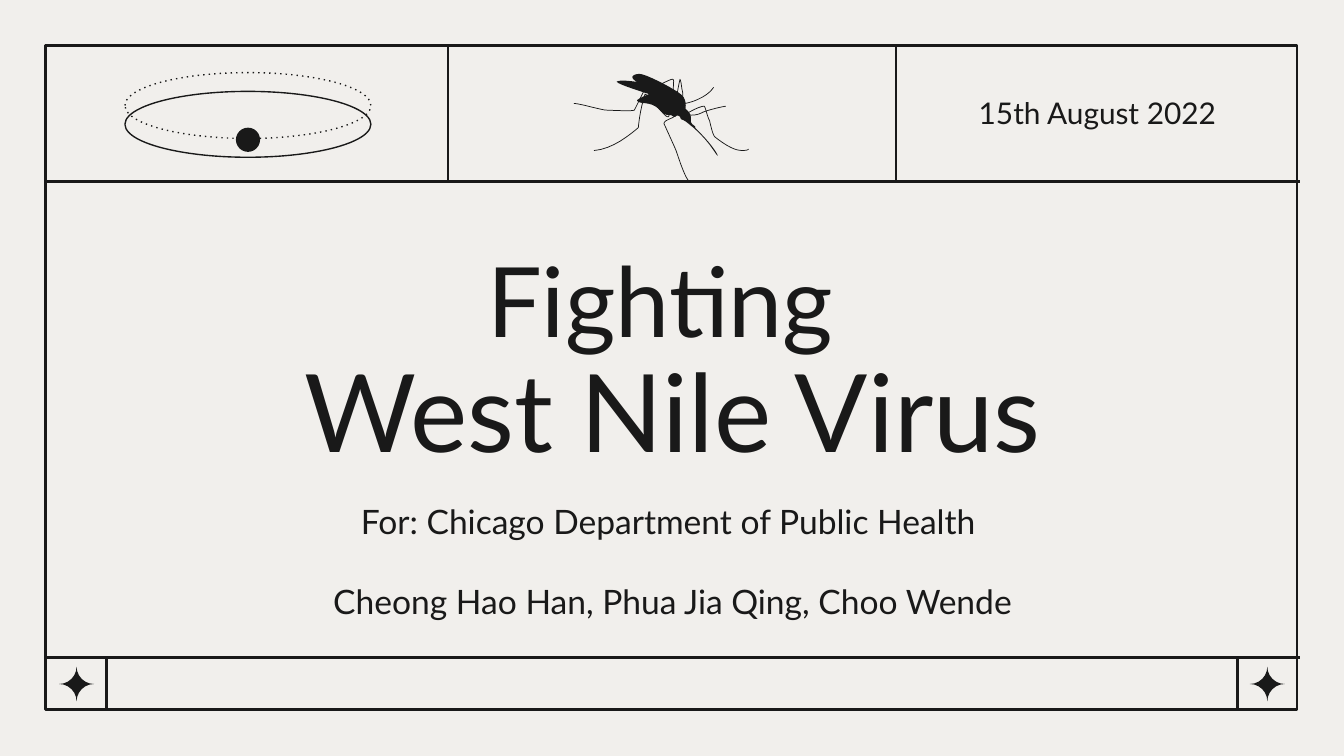
from dataclasses import dataclass
from pptx import Presentation
from pptx.dml.color import RGBColor
from pptx.enum.shapes import MSO_CONNECTOR, MSO_SHAPE
from pptx.enum.text import MSO_ANCHOR, MSO_AUTO_SIZE, PP_ALIGN
from pptx.oxml.ns import qn
from pptx.util import Inches, Pt
from lxml import etree


@dataclass(frozen=True)
class Theme:
    ink: RGBColor = RGBColor(0x19, 0x19, 0x19)
    paper: RGBColor = RGBColor(0xF1, 0xEF, 0xEC)
    font: str = "Lato"
    small: float = 52
    large: float = 58
    body: float = 18
    date: float = 16
    rule: float = 1.5
    thin: float = 0.75
    leg: float = 0.4


THEME = Theme()
WIDE = 10
HIGH = WIDE * 9 / 16

# Mosquito curves in hundredths of an inch: a start, then three points per curve
BODY = [
    (49, 0), (45, 0), (40, 2), (47, 6), (47, 6), (41, 5), (36, 5),
    (33, 5), (31, 6), (32, 6), (33, 8), (56, 15), (56, 15),
    (56, 15), (46, 19), (47, 20), (49, 23), (57, 20), (63, 26),
    (68, 32), (70, 30), (73, 31), (73, 31), (74, 32), (75, 32),
    (76, 32), (76, 31), (77, 31), (78, 31), (79, 32), (79, 32),
    (80, 35), (80, 33), (84, 36), (100, 48), (106, 61), (107, 61),
    (108, 61), (101, 50), (90, 40), (90, 40), (91, 40), (90, 39),
    (89, 38), (87, 37), (87, 35), (87, 33), (87, 32), (87, 32),
    (87, 31), (86, 28), (83, 26), (83, 26), (85, 18), (78, 14),
    (71, 9), (53, 0), (49, 0),
]
LEGS = [
    [(15, 57), (29, 56), (42, 45), (48, 40), (48, 40), (49, 27), (53, 15),
     (57, 16), (67, 32), (70, 32), (71, 32), (71, 30), (71, 29)],
    [(75, 31), (75, 33), (67, 34), (67, 37), (67, 37), (73, 50), (76, 57),
     (81, 72), (84, 79), (86, 80)],
    [(85, 29), (90, 26), (95, 24), (97, 24), (98, 25), (99, 31), (101, 35),
     (103, 44), (104, 46), (105, 47), (114, 54), (120, 57), (125, 57),
     (127, 57), (129, 57), (130, 56)],
    [(84, 30), (86, 31), (91, 31), (95, 29), (96, 28), (107, 25), (113, 24)],
    [(77, 14), (78, 8), (79, 4), (79, 4), (80, 6), (80, 10), (81, 14),
     (81, 19), (81, 21), (82, 22), (85, 22), (99, 18), (104, 10)],
    [(60, 10), (66, 7), (72, 4), (73, 4), (75, 4), (74, 5), (74, 13)],
    [(59, 14), (59, 14), (53, 11), (53, 11), (50, 17), (45, 27), (45, 27),
     (44, 28), (26, 27), (24, 27), (21, 27), (4, 22), (0, 22)],
]


def paint(shape, fill=False, width=None):
    shape.shadow.inherit = False
    if fill:
        shape.fill.solid()
        shape.fill.fore_color.rgb = THEME.ink
    else:
        shape.fill.background()
    if width:
        shape.line.color.rgb = THEME.ink
        shape.line.width = Pt(width)
    else:
        shape.line.fill.background()


def add_form(slide, kind, box, fill=False, width=None):
    form = slide.shapes.add_shape(kind, *map(Inches, box))
    paint(form, fill, width)
    return form


def add_rule(slide, *ends):
    rule = slide.shapes.add_connector(MSO_CONNECTOR.STRAIGHT, *map(Inches, ends))
    rule.line.color.rgb = THEME.ink
    rule.line.width = Pt(THEME.rule)
    etree.SubElement(rule.element.spPr, qn("a:effectLst"))


def set_text(shape, box, lines, sizes, space=1.0, gap=0, inset=0.1):
    shape.left, shape.top, shape.width, shape.height = map(Inches, box)
    frame = shape.text_frame
    frame.word_wrap = True
    frame.auto_size = MSO_AUTO_SIZE.NONE
    frame.vertical_anchor = MSO_ANCHOR.MIDDLE
    frame.margin_left = frame.margin_right = Inches(0.1)
    frame.margin_top = frame.margin_bottom = Inches(inset)
    frame.text = "\n".join(lines)
    for i, (para, size) in enumerate(zip(frame.paragraphs, sizes)):
        para.alignment = PP_ALIGN.CENTER
        para.line_spacing = space
        para.space_before = Pt(gap if i else 0)
        para.space_after = Pt(0)
        for run in para.runs:
            run.font.name = THEME.font
            run.font.size = Pt(size)
            run.font.color.rgb = THEME.ink


def trace(curve, steps=8):
    """Sample a chain of cubic curves."""
    dots = [curve[0]]
    for i in range(0, len(curve) - 1, 3):
        ends = curve[i:i + 4]
        for step in range(1, steps + 1):
            t = step / steps
            parts = ((1 - t) ** 3, 3 * t * (1 - t) ** 2, 3 * t * t * (1 - t), t ** 3)
            dots.append(tuple(sum(p * e[k] for p, e in zip(parts, ends)) for k in (0, 1)))
    return dots


def add_frame(slide, box):
    x, y, w, h = box
    right, base = x + w, y + h
    add_form(slide, MSO_SHAPE.RECTANGLE, box, width=THEME.rule)
    # Top band in thirds of the slide width
    for level in (y + 1.01, base - 0.39):
        add_rule(slide, x + 0.01, level, right + 0.02, level)
    for part in (1, 2):
        col = WIDE * part / 3
        add_rule(slide, col, y + 0.01, col, y + 1.01)
    # Corner cells with stars
    side, cell = 0.26, 0.45
    for edge, mid in ((x + cell, x + 0.23), (right - cell + 0.01, right - 0.22)):
        add_rule(slide, edge, base - 0.39, edge, base)
        star = add_form(slide, MSO_SHAPE.PLAQUE,
                        (mid - side / 2, base - 0.32, side, side), fill=True)
        star.adjustments[0] = 0.5


def add_orbit(slide, box):
    x, y, w, h = box
    ring = 0.49
    add_form(slide, MSO_SHAPE.OVAL, (x, y + h - ring, w, ring), width=THEME.thin)
    dotted = add_form(slide, MSO_SHAPE.OVAL, (x, y, w, ring), width=THEME.thin)
    line = dotted.element.spPr.find(qn("a:ln"))
    etree.SubElement(line, qn("a:prstDash")).set("val", "dot")
    add_form(slide, MSO_SHAPE.OVAL, (x + w / 2 - 0.09, y + 0.41, 0.18, 0.18), fill=True)


def add_insect(slide, box):
    x, y = box[:2]
    for curve in [BODY] + LEGS:
        solid = curve is BODY
        dots = [(Inches(x + a / 100), Inches(y + b / 100)) for a, b in trace(curve)]
        pen = slide.shapes.build_freeform(*dots[0])
        pen.add_line_segments(dots[1:], close=solid)
        paint(pen.convert_to_shape(), solid, None if solid else THEME.leg)


def add_date(slide, box):
    label = slide.shapes.add_textbox(*map(Inches, box))
    set_text(label, box, ["15th August 2022"], [THEME.date])


def add_heading(slide, box):
    x, y, w, h = box
    set_text(slide.shapes.title, (x, y, w, 1.67),
             ["Fighting ", "West Nile Virus"], [THEME.small, THEME.large], space=0.9)
    set_text(slide.placeholders[1], (x, y + 1.81, w, h - 1.81),
             ["For: Chicago Department of Public Health ",
              "Cheong Hao Han, Phua Jia Qing, Choo Wende"],
             [THEME.body] * 2, gap=21.5, inset=0)


def main():
    deck = Presentation()
    deck.slide_width, deck.slide_height = Inches(WIDE), Inches(HIGH)
    slide = deck.slides.add_slide(deck.slide_layouts[0])
    slide.background.fill.solid()
    slide.background.fill.fore_color.rgb = THEME.paper
    add_frame(slide, (0.34, 0.34, 9.31, 4.94))
    add_heading(slide, (0.88, 1.88, 8.25, 2.78))
    add_orbit(slide, (0.93, 0.54, 1.83, 0.63))
    add_date(slide, (6.67, 0.65, 2.99, 0.38))
    add_insect(slide, (4.27, 0.55, 1.3, 0.81))
    deck.save("out.pptx")


if __name__ == "__main__":
    main()
